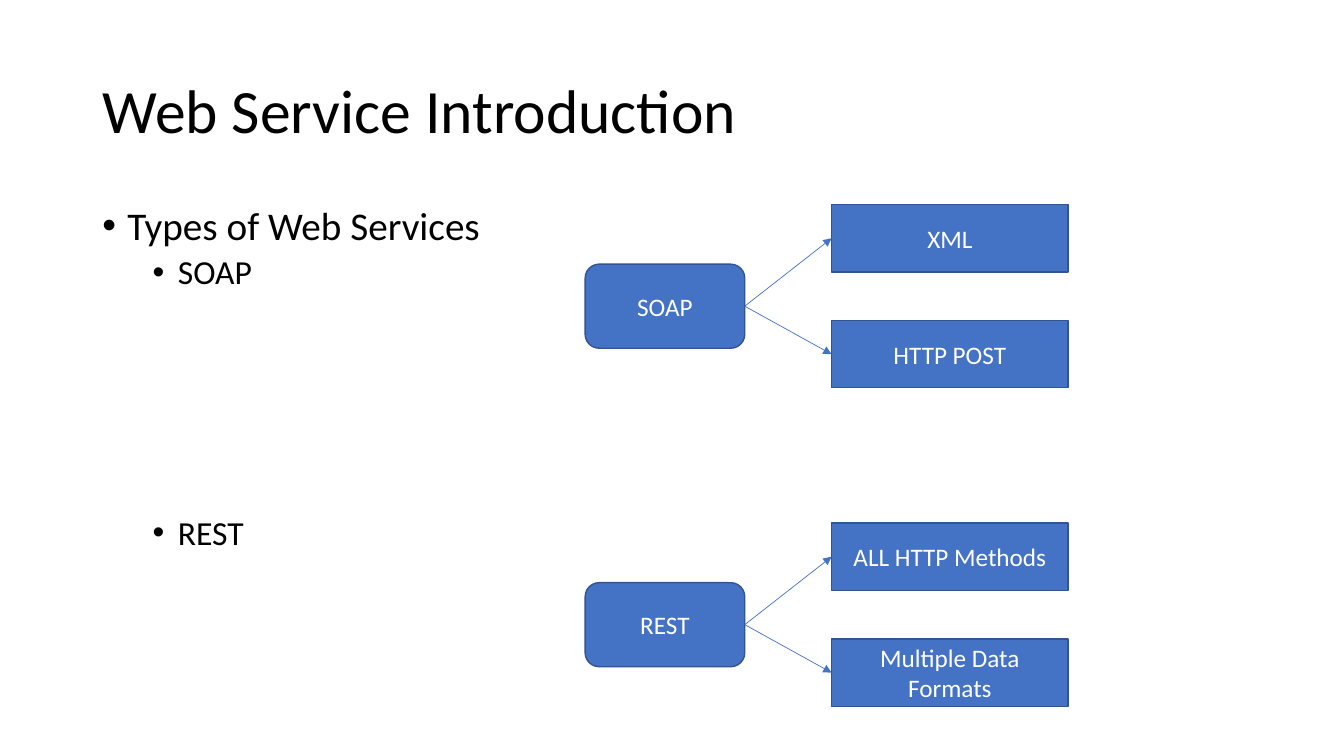
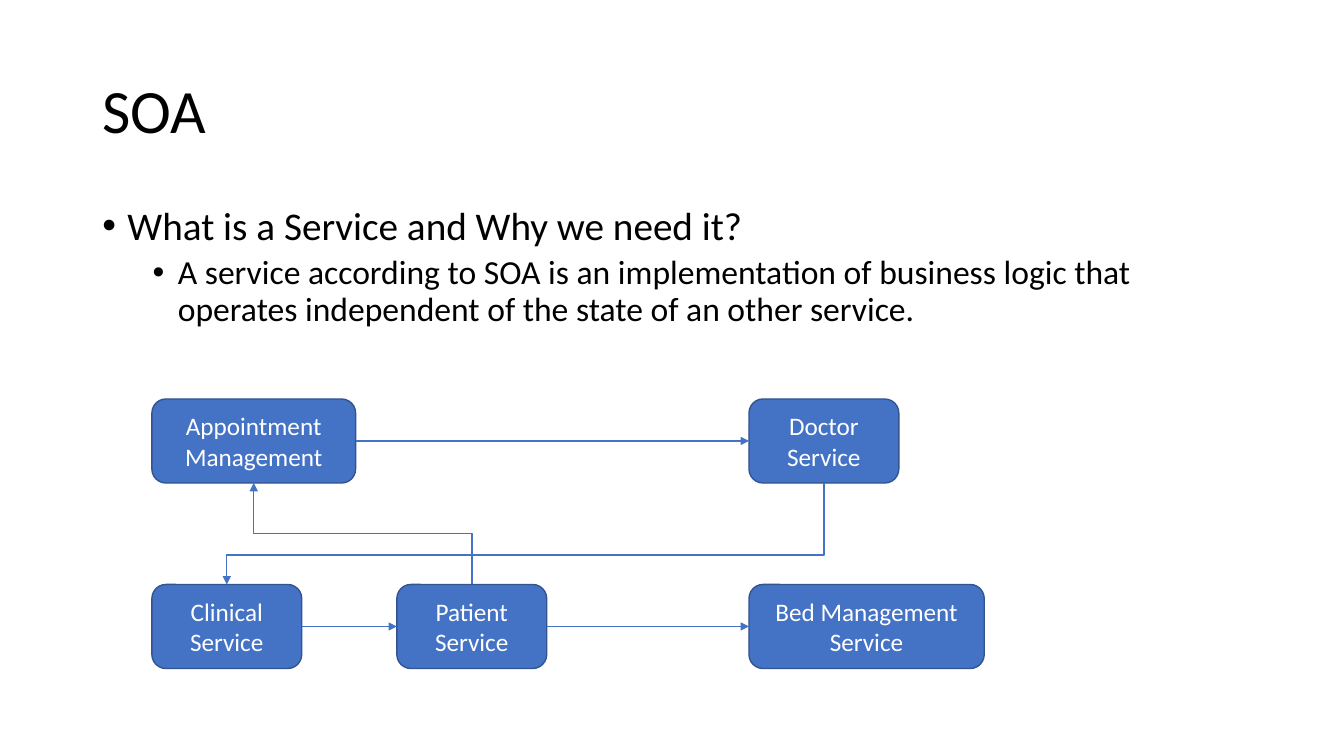
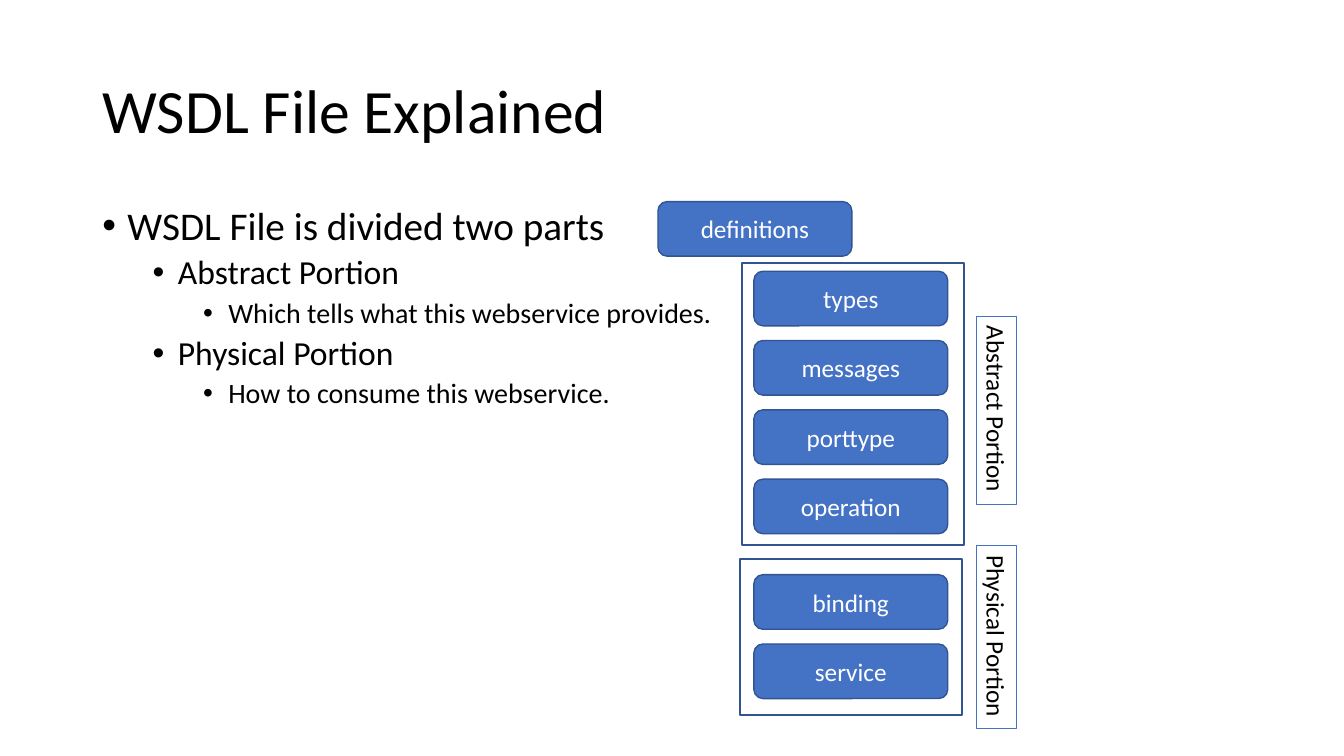
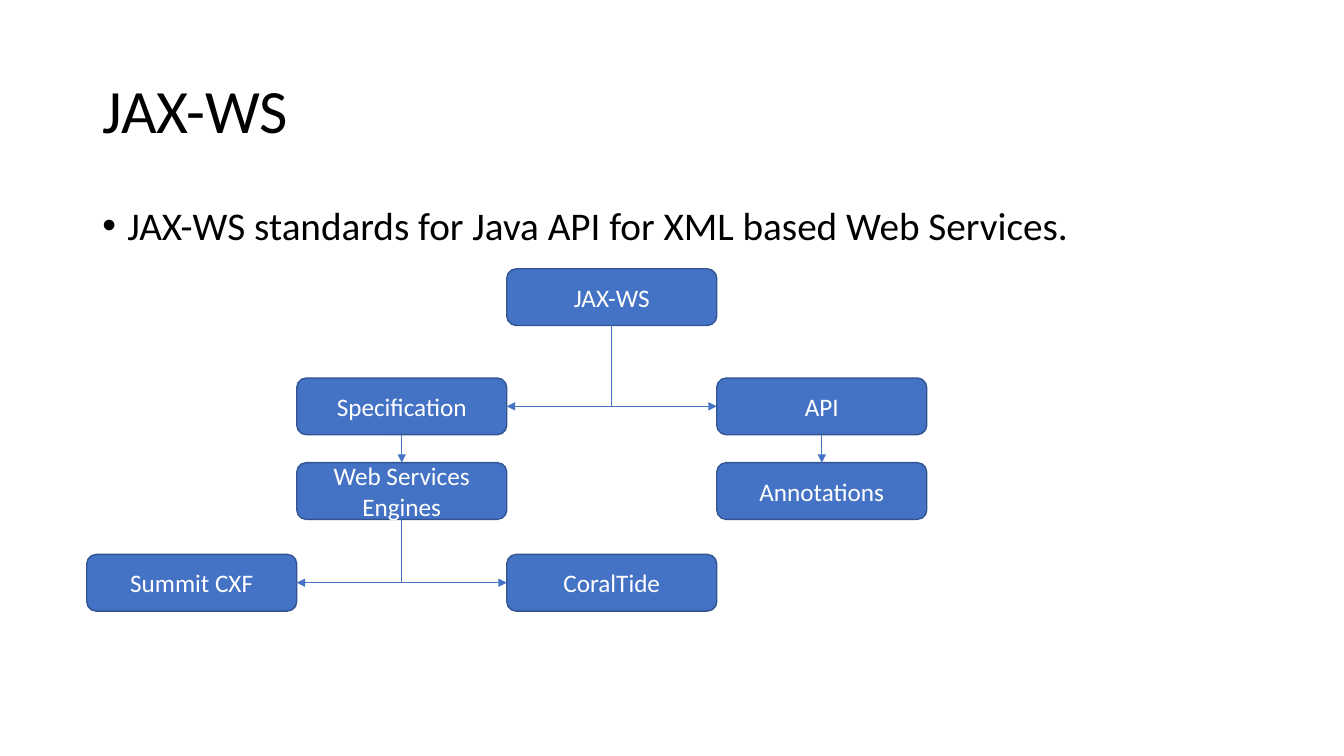
"""Build four slides that introduce web services with bullets and diagrams."""
from lxml.etree import SubElement
from pptx import Presentation
from pptx.dml.color import RGBColor
from pptx.enum.shapes import MSO_CONNECTOR as CONN, MSO_SHAPE as SHAPE
from pptx.enum.text import MSO_ANCHOR as ANCHOR, MSO_AUTO_SIZE as AUTO, PP_ALIGN as ALIGN
from pptx.oxml.ns import qn
from pptx.util import Pt

BLACK = RGBColor(0x00, 0x00, 0x00)
WHITE = RGBColor(0xFF, 0xFF, 0xFF)
BLUE = RGBColor(0x44, 0x72, 0xC4)
DARK_BLUE = RGBColor(0x32, 0x54, 0x91)
FONT = "Calibri"
BODY_SIZES = (28, 24, 20)
TOP, LEFT, BOTTOM, RIGHT = range(4)

INTRO = [(0, "Types of Web Services"), (1, "SOAP"), (1, "REST", 160)]
PROTOCOLS = [
    (146.2, "SOAP", ("XML", "HTTP POST")),
    (373.7, "REST", ("ALL HTTP Methods", "Multiple Data Formats")),
]

SOA = [
    (0, "What is a Service and Why we need it?"),
    (1, "A service according to SOA is an implementation of business logic that "
        "operates independent of the state of an other service."),
]
SERVICES = {
    "appointment": ("Appointment\nManagement", 108.5, 285, 145.5),
    "doctor": ("Doctor Service", 535, 285, 107),
    "clinical": ("Clinical Service", 108.5, 417.5, 107),
    "patient": ("Patient\nService", 283.5, 417.5, 107),
    "bed": ("Bed Management Service", 535, 417.5, 168),
}
CALLS = [
    ("appointment", "doctor"),
    ("clinical", "patient"),
    ("patient", "bed"),
]
BENT_CALLS = [
    ("patient", TOP, "appointment", BOTTOM, None),
    ("doctor", BOTTOM, "clinical", TOP, 70900),
]

WSDL = [
    (0, "WSDL File is divided two parts"),
    (1, "Abstract Portion"),
    (2, "Which tells what this webservice provides."),
    (1, "Physical Portion"),
    (2, "How to consume this webservice."),
]
PORTIONS = [
    ("Abstract Portion", (530, 188, 158.5, 201), 193.75, (134.5, 293),
     ("types", "messages", "porttype", "operation")),
    ("Physical Portion", (528.5, 399.5, 158.5, 111.5), 410.5, (131, 455),
     ("binding", "service")),
]

JAX = [(0, "JAX-WS standards for Java API for XML based Web Services.")]
JAX_ROWS = (192, 270, 330.5, 396)
JAX_NODES = {
    "JAX-WS": (2, 0),
    "Specification": (1, 1),
    "API": (3, 1),
    "Web Services Engines": (1, 2),
    "Annotations": (3, 2),
    "Summit CXF": (0, 3),
    "CoralTide": (2, 3),
}
JAX_DROPS = [("Specification", "Web Services Engines"), ("API", "Annotations")]
JAX_FORKS = [
    ("JAX-WS", "Specification", RIGHT),
    ("JAX-WS", "API", LEFT),
    ("Web Services Engines", "Summit CXF", RIGHT),
    ("Web Services Engines", "CoralTide", LEFT),
]


def write(p, text, size=18, color=BLACK, align=ALIGN.LEFT, spacing=None, before=None):
    """Fill a paragraph with one formatted run."""
    p.alignment = align
    p.line_spacing = spacing
    if before is not None:
        p.space_before = Pt(before)
    r = p.add_run()
    r.text = text
    r.font.name, r.font.size, r.font.color.rgb = FONT, Pt(size), color


def add_paragraph(tf, index):
    """Return the first paragraph of a frame or a new one."""
    return tf.add_paragraph() if index else tf.paragraphs[0]


def add_bullets(s, items):
    """Add the body text with bullets by level."""
    tf = s.shapes.add_textbox(Pt(66), Pt(144), Pt(828), Pt(343)).text_frame
    tf.word_wrap = True
    for i, (level, text, *gap) in enumerate(items):
        p = add_paragraph(tf, i)
        before = gap[0] if gap else 5 if level else 10
        write(p, text, size=BODY_SIZES[level], spacing=0.9, before=before)
        p.level = level
        pPr = p._p.get_or_add_pPr()
        pPr.set("marL", str(Pt(18 + 36 * level)))
        pPr.set("indent", str(Pt(-18)))
        SubElement(pPr, qn("a:buFont")).set("typeface", "Arial")
        SubElement(pPr, qn("a:buChar")).set("char", "•")


def add_slide(prs, title, items):
    """Add a slide with its title and bullets."""
    s = prs.slides.add_slide(prs.slide_layouts[5])
    sp = s.shapes.title
    sp.left, sp.top, sp.width, sp.height = Pt(66), Pt(28.75), Pt(828), Pt(104.4)
    tf = sp.text_frame
    tf.word_wrap, tf.auto_size, tf.vertical_anchor = True, AUTO.NONE, ANCHOR.MIDDLE
    write(tf.paragraphs[0], title, size=44, spacing=0.9, before=0)
    add_bullets(s, items)
    return s


def add_box(s, text, x, y, w, h, kind=SHAPE.ROUNDED_RECTANGLE):
    """Add a blue box with centred text."""
    sp = s.shapes.add_shape(kind, Pt(x), Pt(y), Pt(w), Pt(h))
    sp.shadow.inherit = False
    sp.fill.solid()
    sp.fill.fore_color.rgb = BLUE
    sp.line.color.rgb, sp.line.width = DARK_BLUE, Pt(1)
    tf = sp.text_frame
    tf.word_wrap, tf.vertical_anchor = True, ANCHOR.MIDDLE
    for i, line in enumerate(text.split("\n")):
        write(add_paragraph(tf, i), line, color=WHITE, align=ALIGN.CENTER)
    return sp


def add_frame(s, x, y, w, h):
    """Add an unfilled frame around a group of boxes."""
    sp = s.shapes.add_shape(SHAPE.RECTANGLE, Pt(x), Pt(y), Pt(w), Pt(h))
    sp.shadow.inherit = False
    sp.fill.background()
    sp.line.color.rgb, sp.line.width = DARK_BLUE, Pt(1.5)


def add_side_label(s, text, cx, cy, w, h=29):
    """Add an outlined label turned by a quarter."""
    sp = s.shapes.add_textbox(Pt(cx - w / 2), Pt(cy - h / 2), Pt(w), Pt(h))
    sp.rotation = 90
    sp.line.color.rgb, sp.line.width = BLUE, Pt(0.75)
    sp.text_frame.word_wrap = False
    sp.text_frame.auto_size = AUTO.SHAPE_TO_FIT_TEXT
    write(sp.text_frame.paragraphs[0], text)


def add_arrow(s, start, start_site, end, end_site, width=0.5, kind=CONN.STRAIGHT):
    """Join two boxes with an arrow."""
    c = s.shapes.add_connector(kind, 0, 0, 0, 0)
    c.begin_connect(start, start_site)
    c.end_connect(end, end_site)
    c.line.color.rgb, c.line.width = BLUE, Pt(width)
    spPr = c._element.spPr
    SubElement(spPr.find(qn("a:ln")), qn("a:tailEnd")).set("type", "triangle")
    SubElement(spPr, qn("a:effectLst"))
    return c


def add_elbow(s, *ends, preset="bentConnector2", width=0.5, bend=None):
    """Join two boxes with a bent arrow that leaves vertically."""
    c = add_arrow(s, *ends, width=width, kind=CONN.ELBOW)
    dx, dy = c.end_x - c.begin_x, c.end_y - c.begin_y
    cx, cy = (c.begin_x + c.end_x) // 2, (c.begin_y + c.end_y) // 2
    w, h = abs(dy), abs(dx)
    c.left, c.top, c.width, c.height = cx - w // 2, cy - h // 2, w, h
    xfrm = c._element.spPr.find(qn("a:xfrm"))
    xfrm.set("rot", str(60000 * (90 if dx < 0 < dy else 270)))
    xfrm.set("flipH", str(int(dx > 0)))
    xfrm.set("flipV", str(int(dy < 0)))
    geom = c._element.spPr.find(qn("a:prstGeom"))
    geom.set("prst", preset)
    if bend:
        gd = SubElement(geom.find(qn("a:avLst")), qn("a:gd"))
        gd.set("name", "adj1")
        gd.set("fmla", f"val {bend}")


def build_intro(prs):
    """Show the two kinds of web service."""
    s = add_slide(prs, "Web Service Introduction", INTRO)
    for top, protocol, features in PROTOCOLS:
        hub = add_box(s, protocol, 418, top + 42.5, 114, 60)
        for i, feature in enumerate(features):
            leaf = add_box(s, feature, 594, top + 82.8 * i, 169, 48, kind=SHAPE.RECTANGLE)
            add_arrow(s, hub, RIGHT, leaf, LEFT)


def build_soa(prs):
    """Show services that call each other."""
    s = add_slide(prs, "SOA", SOA)
    boxes = {key: add_box(s, *spot, 60) for key, spot in SERVICES.items()}
    for start, end in CALLS:
        add_arrow(s, boxes[start], RIGHT, boxes[end], LEFT, width=1)
    for start, out, end, into, bend in BENT_CALLS:
        add_elbow(s, boxes[start], out, boxes[end], into,
                  preset="bentConnector3", width=1, bend=bend)


def build_wsdl(prs):
    """Show the elements of a WSDL file by portion."""
    s = add_slide(prs, "WSDL File Explained", WSDL)
    w, h, pitch = 138.5, 39, 49.5
    add_box(s, "definitions", 470, 144, w, h)
    for portion, frame, top, (label_w, label_cy), elements in PORTIONS:
        add_frame(s, *frame)
        for i, element in enumerate(elements):
            add_box(s, element, 538.5, top + pitch * i, w, h)
        add_side_label(s, portion, 711.8, label_cy, label_w)


def build_jax(prs):
    """Show the JAX-WS tree."""
    s = add_slide(prs, "JAX-WS", JAX)
    w, h = 150, 40.5
    nodes = {text: add_box(s, text, 62 + w * col, JAX_ROWS[row], w, h)
             for text, (col, row) in JAX_NODES.items()}
    for start, end in JAX_DROPS:
        add_arrow(s, nodes[start], BOTTOM, nodes[end], TOP)
    for start, end, side in JAX_FORKS:
        add_elbow(s, nodes[start], BOTTOM, nodes[end], side)


def main():
    """Build and save the deck."""
    prs = Presentation()
    prs.slide_width, prs.slide_height = Pt(960), Pt(540)
    for build in (build_intro, build_soa, build_wsdl, build_jax):
        build(prs)
    prs.save("out.pptx")


if __name__ == "__main__":
    main()
